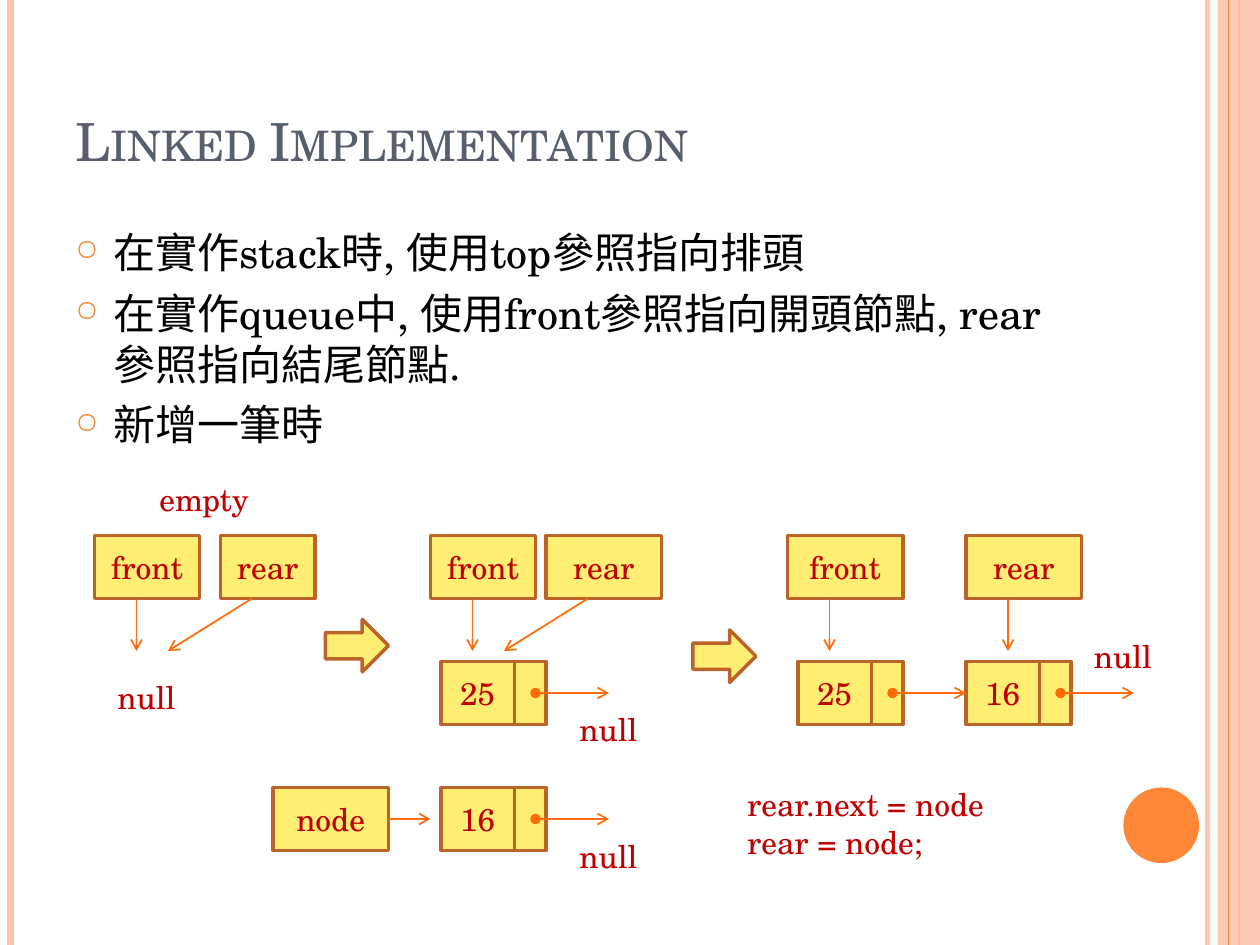
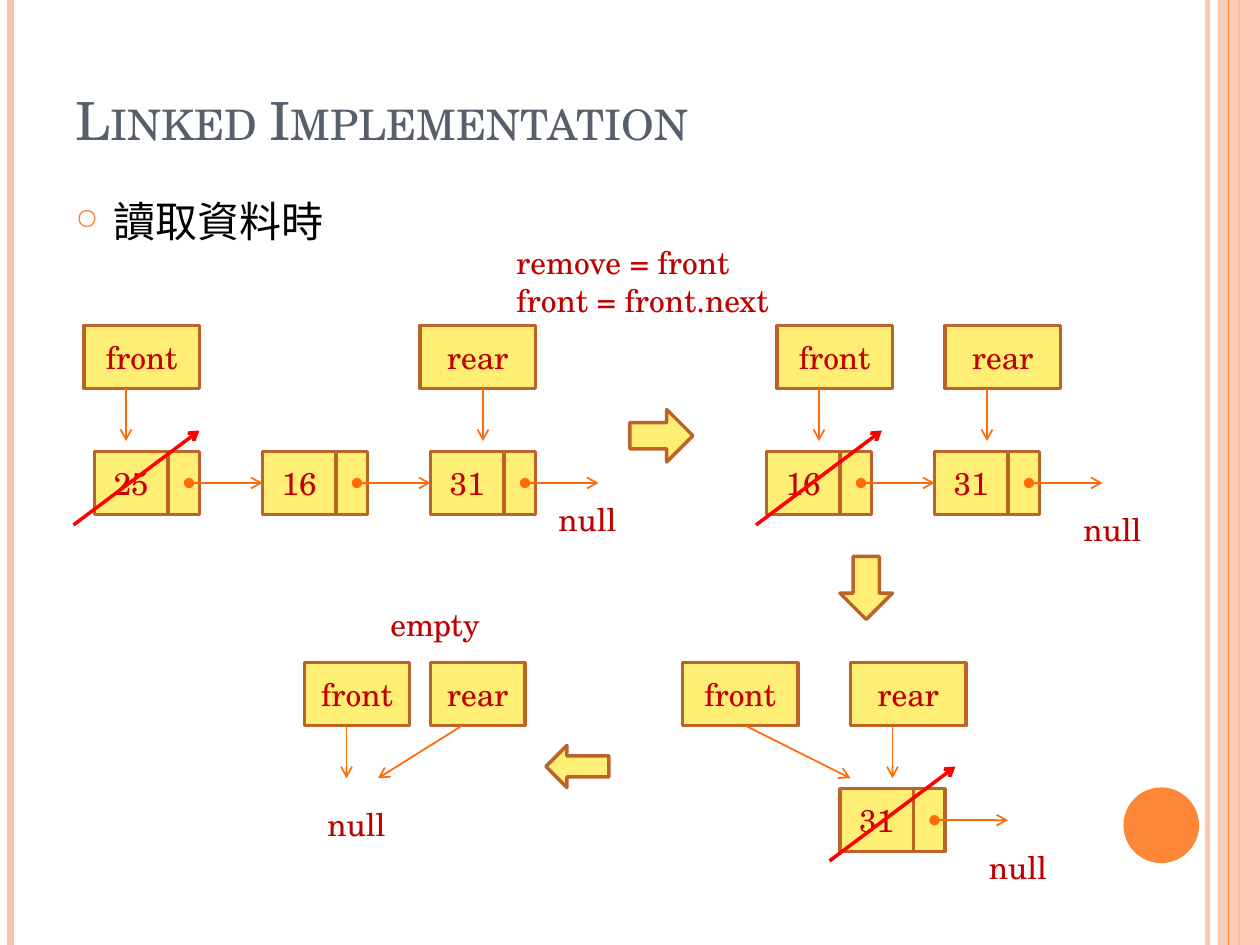
from pptx import Presentation
from pptx.util import Pt
from pptx.dml.color import RGBColor as RGB
from pptx.enum.shapes import MSO_SHAPE as Kind, MSO_CONNECTOR as Conn
from pptx.enum.text import PP_ALIGN as Align, MSO_ANCHOR as Anchor
from pptx.enum.text import MSO_AUTO_SIZE as Fit
from pptx.oxml.ns import qn
from lxml.etree import SubElement as Sub

COLORS = {
    "title": "575F6D", "body": "000000", "label": "C00000",
    "box": "FFEE74", "edge": "BC6329", "link": "FF6B0A",
    "strike": "FF0000", "band": "FEC3AE", "accent": "FE8637",
}
FONT = "TeX Gyre Schola"
WIDE, HIGH = 720, 540
# Linked cells: value part, pointer part, height, distance to the next cell
VALUE, NEXT, TALL, STEP = 42, 18, 36, 96


def color(name):
    return RGB.from_string(COLORS[name])


def fade(shape, pct):
    tone = next(shape.element.iter(qn("a:srgbClr")))
    Sub(tone, qn("a:alpha"), val=str(pct * 1000))


class Deck:
    def __init__(self):
        self.prs = Presentation()
        self.prs.slide_width, self.prs.slide_height = Pt(WIDE), Pt(HIGH)
        self.slide = None

    def start(self, title, height):
        """Add a slide with its bands and title."""
        self.slide = self.prs.slides.add_slide(self.prs.slide_layouts[5])
        self.frame()
        head = self.slide.shapes.title
        head.left, head.top = Pt(36), Pt(21.6)
        head.width, head.height = Pt(588), Pt(height)
        text = head.text_frame
        text.auto_size = Fit.NONE
        text.vertical_anchor = Anchor.BOTTOM
        self.style(text, title, 30, "title")
        for run in text.paragraphs[0].runs:
            run._r.get_or_add_rPr().set("cap", "small")

    def frame(self):
        """Bands at the slide edges and the round mark."""
        fade(self.line(690, 0, 690, HIGH, "band", 3), 93)
        self.line(6, 0, 6, HIGH, "band", 4.5)
        self.line(708, 0, 708, HIGH, "accent", 1.5)
        fade(self.shape(Kind.RECTANGLE, 696, 0, 24, HIGH, "band"), 87)
        self.line(702, 0, 702, HIGH, "accent", 0.75)
        self.shape(Kind.OVAL, 642, 450, 43.2, 43.2, "accent")

    def style(self, frame, text, size, tone, align=Align.LEFT):
        """Fill a text frame and format its runs."""
        frame.word_wrap = True
        frame.text = text
        for par in frame.paragraphs:
            par.alignment = align
            for run in par.runs:
                run.font.name, run.font.size = FONT, Pt(size)
                run.font.color.rgb = color(tone)

    def shape(self, kind, x, y, w, h, fill="box", edge=None):
        item = self.slide.shapes.add_shape(kind, Pt(x), Pt(y), Pt(w), Pt(h))
        item.shadow.inherit = False
        item.fill.solid()
        item.fill.fore_color.rgb = color(fill)
        if edge:
            item.line.color.rgb = color(edge)
            item.line.width = Pt(2)
        else:
            item.line.fill.background()
        return item

    def line(self, x1, y1, x2, y2, tone="link", width=1, head=None, tail=None):
        item = self.slide.shapes.add_connector(
            Conn.STRAIGHT, Pt(x1), Pt(y1), Pt(x2), Pt(y2))
        item.line.color.rgb = color(tone)
        item.line.width = Pt(width)
        props = item.element.spPr
        stroke = props.find(qn("a:ln"))
        for tag, end in (("a:headEnd", head), ("a:tailEnd", tail)):
            if end:
                Sub(stroke, qn(tag), type=end)
        Sub(props, qn("a:effectLst"))
        return item

    def body(self, y, text):
        """Bulleted text down to the foot of the slide."""
        item = self.slide.shapes.add_textbox(
            Pt(36), Pt(y), Pt(588), Pt(510 - y))
        self.style(item.text_frame, text, 24, "body")
        for par in item.text_frame.paragraphs:
            par.space_before = Pt(6)
            props = par._p.get_or_add_pPr()
            props.set("marL", str(Pt(21.6)))
            props.set("indent", str(-Pt(21.6)))
            tone = Sub(props, qn("a:buClr"))
            Sub(tone, qn("a:srgbClr"), val=COLORS["accent"])
            Sub(props, qn("a:buSzPct"), val="70000")
            Sub(props, qn("a:buChar"), char="○")

    def label(self, text, x, y, w=72, h=29):
        item = self.slide.shapes.add_textbox(Pt(x), Pt(y), Pt(w), Pt(h))
        self.style(item.text_frame, text, 18, "label")
        item.text_frame.auto_size = Fit.SHAPE_TO_FIT_TEXT

    def box(self, text, x, y, w):
        item = self.shape(Kind.RECTANGLE, x, y, w, TALL, edge="edge")
        if text:
            item.text_frame.vertical_anchor = Anchor.MIDDLE
            self.style(item.text_frame, text, 18, "label", Align.CENTER)

    def block(self, kind, x, y, w=36, h=30):
        self.shape(kind, x, y, w, h, edge="edge")

    def ref(self, text, x, y, w=66, out=24, tip=None):
        """Named box whose arrow leaves at out and ends at tip."""
        self.box(text, x, y, w)
        tip = out if tip is None else tip
        self.line(x + out, y + TALL, x + tip, y + 66, tail="arrow")

    def chain(self, x, y, *values):
        """Linked cells, boxes first and then the links over them."""
        spots = [x + i * STEP for i in range(len(values))]
        for spot, value in zip(spots, values):
            self.box(value, spot, y, VALUE)
            self.box("", spot + VALUE, y, NEXT)
        for spot in spots:
            self.line(spot + 54, y + TALL / 2, spot + STEP, y + TALL / 2,
                      head="oval", tail="arrow")

    def empty(self, x, y):
        """Empty queue: both references lead to null."""
        self.ref("front", x, y, 60)
        self.ref("rear", x + 72, y, 54, 18, -30)
        self.label("null", x + 6, y + 78)

    def strike(self, x, y):
        self.line(x, y, x + 72, y - 54, "strike", 2, tail="arrow")


deck = Deck()

# Slide 1: adding an item
deck.start("Linked Implementation", 80.4)
deck.body(126, "在實作stack時, 使用top參照指向排頭\n"
               "在實作queue中, 使用front參照指向開頭節點, rear參照指向結尾節點.\n"
               "新增一筆時")
# Empty queue
deck.label("empty", 84, 270.7)
deck.empty(54, 306)
# One item
deck.block(Kind.RIGHT_ARROW, 186, 354)
deck.ref("front", 246, 306, 60)
deck.ref("rear", 312, 306, tip=-24)
deck.chain(252, 378, "25")
deck.label("null", 324, 402)
# Two items
deck.block(Kind.RIGHT_ARROW, 396, 360)
deck.ref("front", 450, 306)
deck.ref("rear", 552, 306)
deck.chain(456, 378, "25", "16")
deck.label("null", 618, 360.7)
# New node
deck.box("node", 156, 450, 66)
deck.line(222, 468, 246, 468, tail="arrow")
deck.chain(252, 450, "16")
deck.label("null", 324, 475)
deck.label("rear.next = node\nrear = node;", 420, 445, 186, 51)

# Slide 2: removing items
deck.start("Linked Implementation", 68.4)
deck.body(108, "讀取資料時")
deck.label("remove = front\nfront = front.next", 288, 135.4, 186, 51)
# Three items
deck.ref("front", 48, 186)
deck.ref("rear", 240, 186, out=36)
deck.chain(54, 258, "25", "16", "31")
deck.label("null", 312, 282)
deck.strike(42, 300)
# Two items
deck.block(Kind.RIGHT_ARROW, 360, 234)
deck.ref("front", 444, 186)
deck.ref("rear", 540, 186)
deck.chain(438, 258, "16", "31")
deck.label("null", 612, 288)
deck.strike(432, 300)
# One item
deck.block(Kind.DOWN_ARROW, 480, 318, 30, 36)
deck.ref("front", 390, 378.7, out=36, tip=96)
deck.ref("rear", 486, 378.7)
deck.chain(480, 450.7, "31")
deck.label("null", 558, 481)
deck.strike(474, 492)
# Empty queue
deck.block(Kind.LEFT_ARROW, 312, 426, 36, 24)
deck.label("empty", 216, 342)
deck.empty(174, 378.7)

deck.prs.save("out.pptx")
